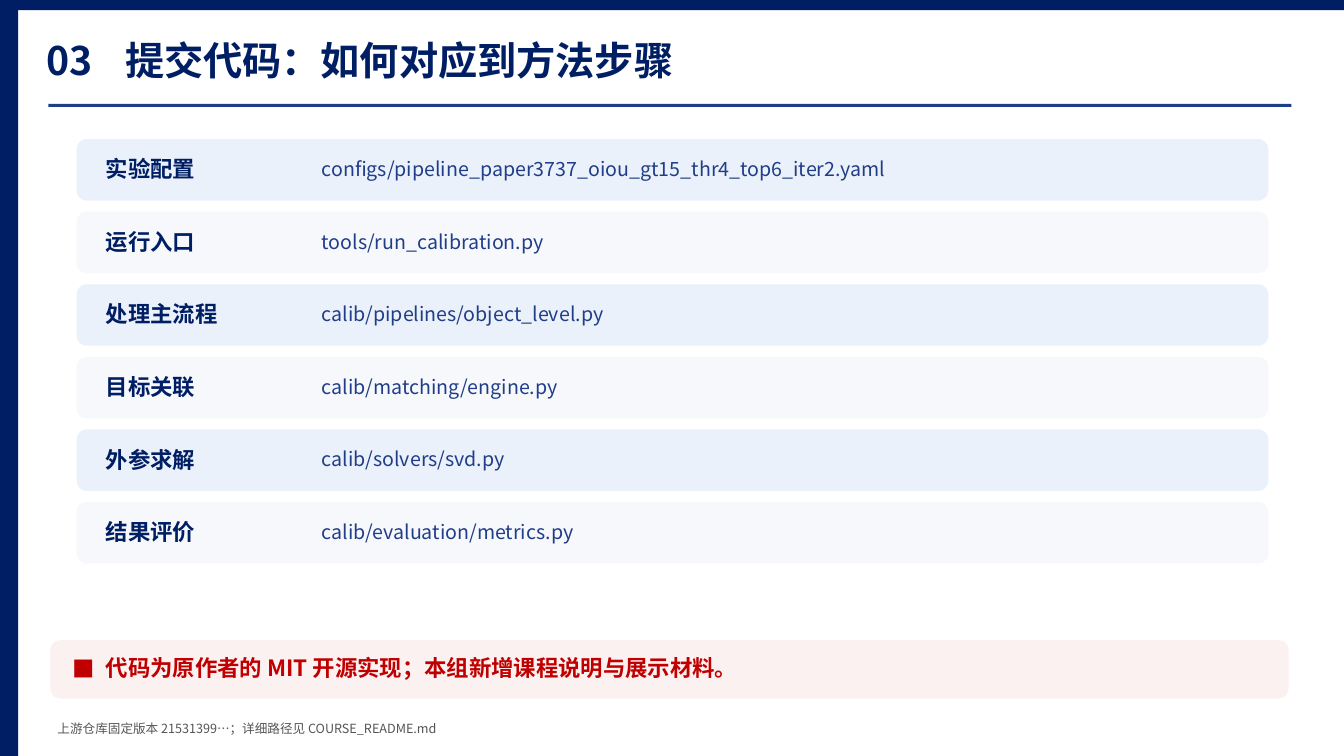
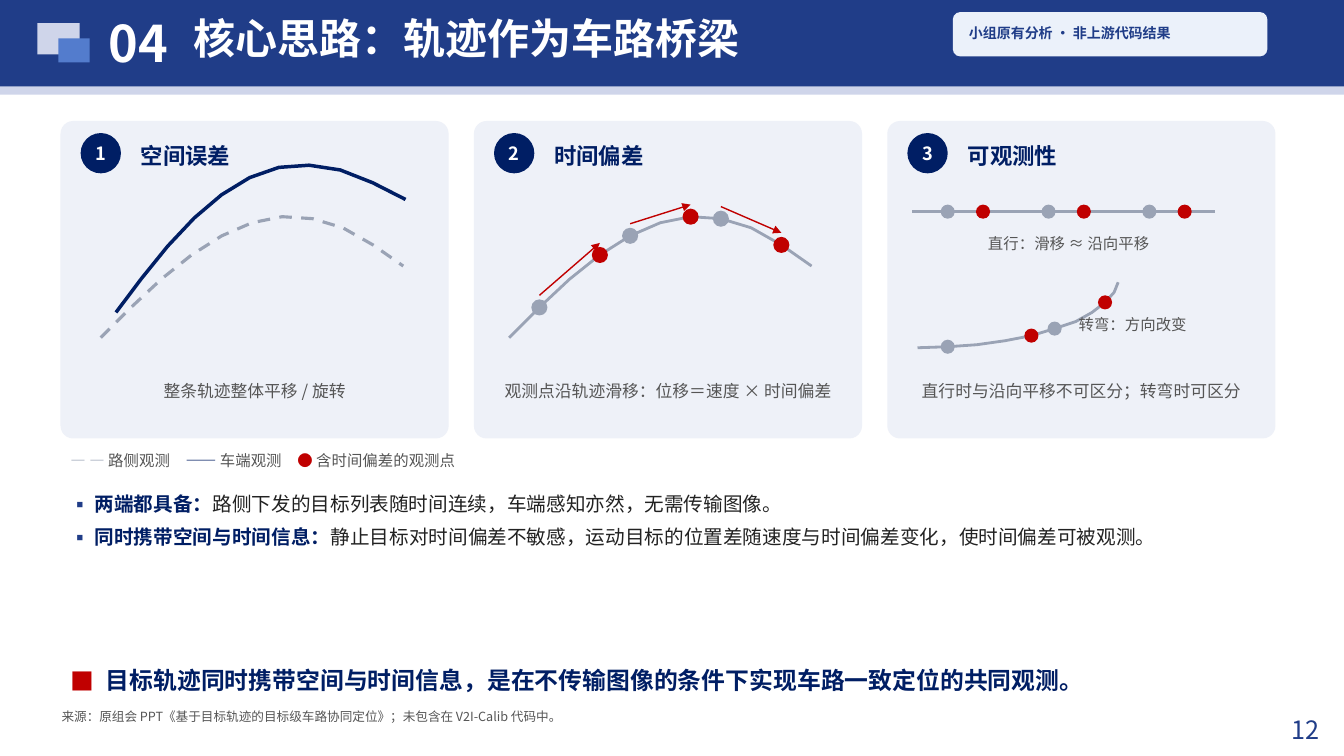
from dataclasses import dataclass, replace
from math import cos, radians, sin

from lxml import etree
from pptx import Presentation
from pptx.dml.color import RGBColor
from pptx.enum.dml import MSO_LINE
from pptx.enum.shapes import MSO_CONNECTOR, MSO_SHAPE
from pptx.enum.text import MSO_ANCHOR, MSO_AUTO_SIZE, PP_ALIGN
from pptx.oxml.ns import qn
from pptx.util import Inches, Pt

RECTANGLE = MSO_SHAPE.RECTANGLE
ROUNDED = MSO_SHAPE.ROUNDED_RECTANGLE
OVAL = MSO_SHAPE.OVAL
STRAIGHT = MSO_CONNECTOR.STRAIGHT
DASH = MSO_LINE.DASH
TOP, MIDDLE = MSO_ANCHOR.TOP, MSO_ANCHOR.MIDDLE
LEFT, CENTER = PP_ALIGN.LEFT, PP_ALIGN.CENTER
GROW = MSO_AUTO_SIZE.SHAPE_TO_FIT_TEXT

NAVY = RGBColor(0x00, 0x1E, 0x64)
BLUE = RGBColor(0x20, 0x3D, 0x88)
SKY = RGBColor(0x53, 0x7C, 0xCD)
LAVENDER = RGBColor(0xCF, 0xD5, 0xEA)
PALE_BLUE = RGBColor(0xEB, 0xF1, 0xFA)
PALE_GRAY = RGBColor(0xF6, 0xF8, 0xFC)
PALE_RED = RGBColor(0xFC, 0xF1, 0xF1)
CARD = RGBColor(0xEE, 0xF1, 0xF8)
TRACK = RGBColor(0x9A, 0xA3, 0xB5)
RED = RGBColor(0xC0, 0x00, 0x00)
GRAY = RGBColor(0x55, 0x55, 0x55)
INK = RGBColor(0x22, 0x22, 0x22)
WHITE = RGBColor(0xFF, 0xFF, 0xFF)

FONT = "Noto Sans CJK SC"
WIDTH, HEIGHT = 13.33, 7.5

ROW_LEFT, ROW_TOP, ROW_WIDTH, ROW_HEIGHT, ROW_STEP = 0.76, 1.38, 11.82, 0.61, 0.72
CARD_LEFT, CARD_TOP, CARD_WIDTH, CARD_HEIGHT, CARD_STEP = 0.6, 1.2, 3.85, 3.15, 4.1

ROWS = [
    ("实验配置", "configs/pipeline_paper3737_oiou_gt15_thr4_top6_iter2.yaml"),
    ("运行入口", "tools/run_calibration.py"),
    ("处理主流程", "calib/pipelines/object_level.py"),
    ("目标关联", "calib/matching/engine.py"),
    ("外参求解", "calib/solvers/svd.py"),
    ("结果评价", "calib/evaluation/metrics.py"),
]
CARDS = [
    ("空间误差", "整条轨迹整体平移 / 旋转"),
    ("时间偏差", "观测点沿轨迹滑移：位移＝速度 × 时间偏差"),
    ("可观测性", "直行时与沿向平移不可区分；转弯时可区分"),
]
ARC_HEIGHTS = [3.35, 3.05, 2.77, 2.53, 2.34, 2.21, 2.15, 2.17, 2.26, 2.43, 2.64]
BEND = [
    (9.1, 3.45), (9.4, 3.44), (9.69, 3.42), (9.97, 3.38), (10.23, 3.33), (10.46, 3.26),
    (10.67, 3.19), (10.83, 3.1), (10.96, 3), (11.05, 2.9), (11.09, 2.8),
]


@dataclass(frozen=True)
class Style:
    size: float
    color: RGBColor
    bold: bool = False
    align: PP_ALIGN = LEFT
    anchor: MSO_ANCHOR = TOP
    line_spacing: float = 1.0
    space_after: float = 0
    inset: tuple = (0.1, 0.05)
    wrap: bool = True
    bullet: str = ""
    bullet_color: RGBColor = RED
    indent: float = 0


TIGHT = Style(9, GRAY, anchor=MIDDLE, space_after=3, inset=(0.04, 0.04))
ROW_LABEL = replace(TIGHT, size=16, color=NAVY, bold=True)
ROW_PATH = replace(TIGHT, size=14, color=BLUE)
TITLE = replace(TIGHT, size=28, color=NAVY, bold=True)
NOTICE = replace(TIGHT, size=16, color=RED, bold=True, bullet="■", indent=0.33)
TAG = replace(TIGHT, size=10, color=BLUE, bold=True)
BAND_NUMBER = Style(36, WHITE, bold=True, wrap=False)
BAND_TITLE = Style(30, WHITE, bold=True)
PAGE_NUMBER = Style(18, BLUE, align=CENTER, anchor=MIDDLE)
BADGE = Style(13, WHITE, bold=True, align=CENTER, anchor=MIDDLE, inset=(0.05, 0.05))
CARD_TITLE = Style(16, NAVY, bold=True, anchor=MIDDLE, line_spacing=1.15)
CAPTION = Style(12, GRAY, align=CENTER, line_spacing=1.15)
LABEL = Style(11, GRAY, line_spacing=1.15)
POINT = Style(14, INK, line_spacing=1.15, space_after=4, bullet="▪", bullet_color=BLUE, indent=0.24)
CONCLUSION = Style(17, NAVY, bold=True, anchor=MIDDLE, line_spacing=1.15, bullet="■", indent=0.35)


def lengths(*values):
    return [Inches(value) for value in values]


def add_bullet(paragraph, style):
    properties = paragraph._p.get_or_add_pPr()
    properties.set("marL", str(Inches(style.indent)))
    properties.set("indent", str(-Inches(style.indent)))
    color = etree.SubElement(properties, qn("a:buClr"))
    etree.SubElement(color, qn("a:srgbClr"), val=str(style.bullet_color))
    etree.SubElement(properties, qn("a:buFont"), typeface=FONT)
    etree.SubElement(properties, qn("a:buChar"), char=style.bullet)


def fill_paragraph(paragraph, content, style):
    paragraph.alignment = style.align
    paragraph.line_spacing = style.line_spacing
    paragraph.space_after = Pt(style.space_after)
    if style.bullet:
        add_bullet(paragraph, style)
    font = paragraph.font
    font.name = FONT
    font.size = Pt(style.size)
    font.bold = style.bold
    font.color.rgb = style.color
    defaults = paragraph._p.pPr.find(qn("a:defRPr"))
    etree.SubElement(defaults, qn("a:ea"), typeface=FONT)
    if isinstance(content, str):
        paragraph.add_run().text = content
        return
    for text, color, bold in content:
        run = paragraph.add_run()
        run.text = text
        run.font.color.rgb = color
        run.font.bold = bold


def fill_frame(frame, contents, style):
    frame.word_wrap = style.wrap
    frame.vertical_anchor = style.anchor
    frame.margin_left = frame.margin_right = Inches(style.inset[0])
    frame.margin_top = frame.margin_bottom = Inches(style.inset[1])
    for index, content in enumerate(contents):
        paragraph = frame.add_paragraph() if index else frame.paragraphs[0]
        fill_paragraph(paragraph, content, style)


def add_text(slide, box, style, *contents):
    frame = slide.shapes.add_textbox(*lengths(*box)).text_frame
    fill_frame(frame, contents, style)
    frame.auto_size = GROW


def add_block(slide, box, color, kind=RECTANGLE):
    shape = slide.shapes.add_shape(kind, *lengths(*box))
    shape.shadow.inherit = False
    shape.fill.solid()
    shape.fill.fore_color.rgb = color
    shape.line.fill.background()
    return shape


def add_dot(slide, center, size, color):
    x, y = center
    add_block(slide, (x - size / 2, y - size / 2, size, size), color, OVAL)


def add_path(slide, points, color, width, dash=None):
    start, *others = [lengths(*point) for point in points]
    builder = slide.shapes.build_freeform(*start)
    builder.add_line_segments(others, close=False)
    shape = builder.convert_to_shape()
    shape.shadow.inherit = False
    shape.fill.background()
    shape.line.color.rgb = color
    shape.line.width = Pt(width)
    if dash:
        shape.line.dash_style = dash


def add_line(slide, start, end, color, width, arrow=False):
    line = slide.shapes.add_connector(STRAIGHT, *lengths(*start, *end))
    line.line.color.rgb = color
    line.line.width = Pt(width)
    if arrow:
        etree.SubElement(line.line._get_or_add_ln(), qn("a:tailEnd"), type="triangle")
    etree.SubElement(line._element.spPr, qn("a:effectLst"))


def arc_points(left):
    return [(left + 0.3 * index, y) for index, y in enumerate(ARC_HEIGHTS)]


def turn_points(points, origin, degrees):
    cosine, sine = cos(radians(degrees)), sin(radians(degrees))
    first_x, first_y = points[0]
    turned = []
    for x, y in points:
        across, down = x - first_x, y - first_y
        turned.append((origin[0] + across * cosine + down * sine,
                       origin[1] - across * sine + down * cosine))
    return turned


def add_edge_frame(slide, number, title):
    add_block(slide, (0, 0, 0.18, HEIGHT), NAVY)
    add_block(slide, (0.18, 0, WIDTH - 0.18, 0.1), NAVY)
    add_text(slide, (0.42, 0.32, 0.72, 0.55), TITLE, number)
    add_text(slide, (1.2, 0.3, 11.45, 0.58), TITLE, title)
    add_block(slide, (0.48, 1.03, 12.33, 0.03), BLUE)


def add_band_frame(slide, number, title, page):
    add_block(slide, (0, 0, WIDTH, 0.86), BLUE)
    add_block(slide, (0.37, 0.23, 0.42, 0.31), LAVENDER)
    add_block(slide, (0.58, 0.38, 0.31, 0.24), SKY)
    add_block(slide, (0, 0.86, WIDTH, 0.08), LAVENDER)
    add_text(slide, (12.55, 6.98, 0.79, 0.52), PAGE_NUMBER, page)
    add_text(slide, (0.98, 0.07, 0.84, 0.71), BAND_NUMBER, number)
    add_text(slide, (1.82, 0.08, 11.5, 0.64), BAND_TITLE, title)


def add_code_row(slide, index, label, code_file):
    top = ROW_TOP + index * ROW_STEP
    color = PALE_GRAY if index % 2 else PALE_BLUE
    add_block(slide, (ROW_LEFT, top, ROW_WIDTH, ROW_HEIGHT), color, ROUNDED)
    add_text(slide, (1.01, top + 0.08, 2.05, 0.43), ROW_LABEL, label)
    add_text(slide, (3.15, top + 0.08, 9.08, 0.43), ROW_PATH, code_file)


def add_card(slide, index, title, caption):
    left = CARD_LEFT + index * CARD_STEP
    card = add_block(slide, (left, CARD_TOP, CARD_WIDTH, CARD_HEIGHT), CARD, ROUNDED)
    card.adjustments[0] = 0.04
    badge = add_block(slide, (left + 0.2, CARD_TOP + 0.12, 0.4, 0.4), NAVY, OVAL)
    fill_frame(badge.text_frame, [str(index + 1)], BADGE)
    add_text(slide, (left + 0.7, CARD_TOP + 0.1, 3, 0.45), CARD_TITLE, title)
    add_text(slide, (left + 0.2, CARD_TOP + 2.5, 3.45, 0.6), CAPTION, caption)


def draw_space_error(slide):
    roadside = arc_points(1)
    add_path(slide, roadside, TRACK, 2.25, DASH)
    add_path(slide, turn_points(roadside, (1.15, 3.1), 8), NAVY, 2.5)


def draw_time_offset(slide):
    track = arc_points(5.05)
    add_path(slide, track, TRACK, 2)
    for first in (1, 4, 7):
        actual, shifted = track[first], track[first + 2]
        add_dot(slide, actual, 0.16, TRACK)
        add_dot(slide, shifted, 0.16, RED)
        start, end = [(x, y - 0.12) for x, y in (actual, shifted)]
        add_line(slide, start, end, RED, 1, arrow=True)


def draw_observability(slide):
    add_line(slide, (9.05, 2.1), (12.05, 2.1), TRACK, 2)
    for x in (9.4, 10.4, 11.4):
        add_dot(slide, (x, 2.1), 0.14, TRACK)
        add_dot(slide, (x + 0.35, 2.1), 0.14, RED)
    add_text(slide, (9, 2.25, 3.2, 0.3), replace(LABEL, align=CENTER), "直行：滑移 ≈ 沿向平移")
    add_path(slide, BEND, TRACK, 2)
    for index, color in ((1, TRACK), (4, RED), (5, TRACK), (8, RED)):
        add_dot(slide, BEND[index], 0.14, color)
    add_text(slide, (10.6, 3.05, 1.7, 0.3), LABEL, "转弯：方向改变")


def build_code_slide(slide):
    add_edge_frame(slide, "03", "提交代码：如何对应到方法步骤")
    for index, row in enumerate(ROWS):
        add_code_row(slide, index, *row)
    add_block(slide, (0.5, 6.35, 12.28, 0.58), PALE_RED, ROUNDED)
    add_text(slide, (0.68, 6.43, 11.95, 0.39), NOTICE,
             "代码为原作者的 MIT 开源实现；本组新增课程说明与展示材料。")
    add_text(slide, (0.53, 7.12, 11.9, 0.22), TIGHT,
             "上游仓库固定版本 21531399…；详细路径见 COURSE_README.md")


def build_idea_slide(slide):
    add_band_frame(slide, "04", "核心思路：轨迹作为车路桥梁", "12")
    for index, card in enumerate(CARDS):
        add_card(slide, index, *card)
    draw_space_error(slide)
    draw_time_offset(slide)
    draw_observability(slide)
    add_text(slide, (0.6, 4.4, 12, 0.35), LABEL, [
        ("— —", TRACK, True), (" 路侧观测　", GRAY, False),
        ("——", NAVY, True), (" 车端观测　", GRAY, False),
        ("●", RED, True), (" 含时间偏差的观测点", GRAY, False),
    ])
    add_text(slide, (0.6, 4.8, 12.1, 1.6), POINT, [
        ("两端都具备：", NAVY, True),
        ("路侧下发的目标列表随时间连续，车端感知亦然，无需传输图像。", INK, False),
    ], [
        ("同时携带空间与时间信息：", NAVY, True),
        ("静止目标对时间偏差不敏感，运动目标的位置差随速度与时间偏差变化，使时间偏差可被观测。", INK, False),
    ])
    add_text(slide, (0.6, 6.45, 11.9, 0.55), CONCLUSION,
             "目标轨迹同时携带空间与时间信息，是在不传输图像的条件下实现车路一致定位的共同观测。")
    add_block(slide, (9.45, 0.12, 3.12, 0.44), PALE_BLUE, ROUNDED)
    add_text(slide, (9.57, 0.18, 2.88, 0.3), TAG, "小组原有分析 · 非上游代码结果")
    add_text(slide, (0.57, 7, 11.98, 0.21), TIGHT,
             "来源：原组会 PPT《基于目标轨迹的目标级车路协同定位》；未包含在 V2I-Calib 代码中。")


def main():
    presentation = Presentation()
    presentation.slide_width, presentation.slide_height = lengths(WIDTH, HEIGHT)
    blank = presentation.slide_layouts[6]
    for build in (build_code_slide, build_idea_slide):
        build(presentation.slides.add_slide(blank))
    presentation.save("out.pptx")


if __name__ == "__main__":
    main()
